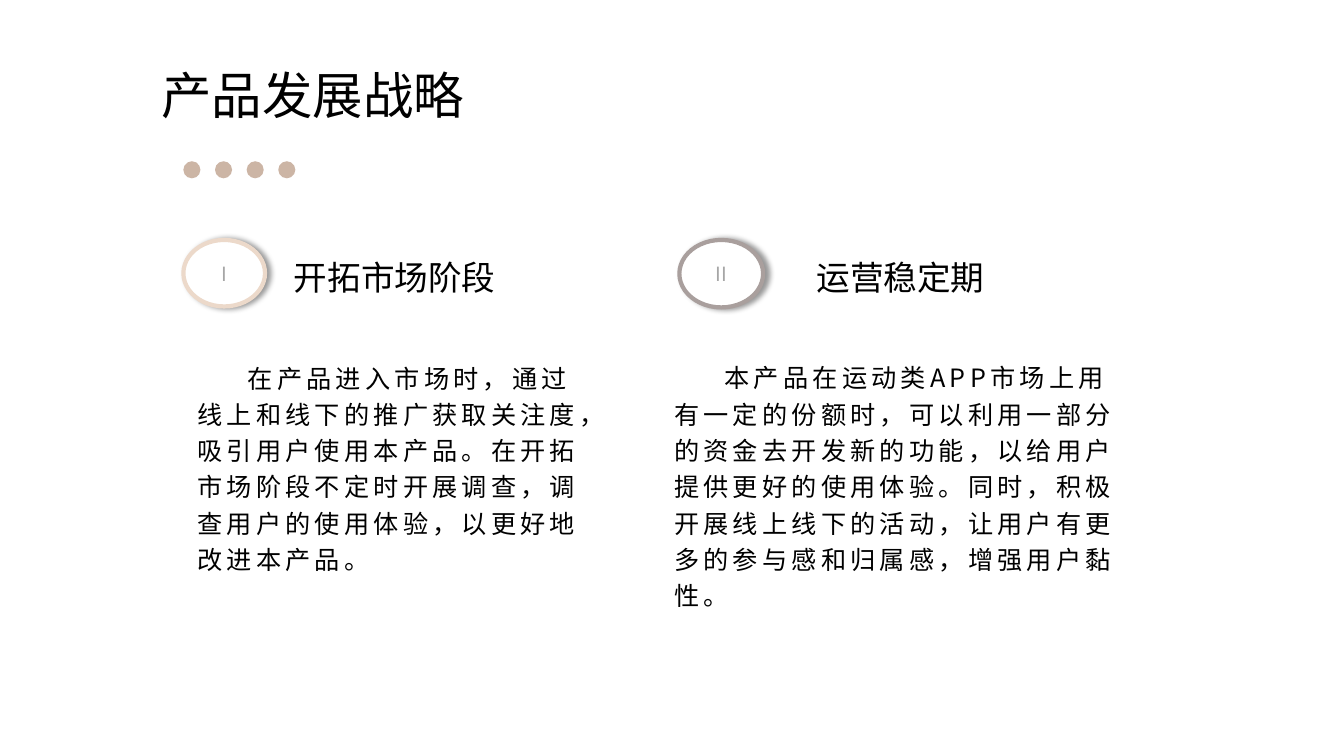
"""Build the product development strategy slide."""
from dataclasses import dataclass

from lxml import etree
from pptx import Presentation
from pptx.dml.color import RGBColor
from pptx.enum import shapes, text
from pptx.oxml.ns import qn
from pptx.util import Pt

FONT = "Noto Sans CJK SC"
COLORS = {
    "text": "000000",
    "numeral": "A6A6A6",
    "dot": "CCB5A5",
    "badge": "FFFFFF",
    "peach": "ECD9CA",
    "taupe": "A99F9D",
    "shadow": "000000",
}
LEFT, CENTER = text.PP_ALIGN.LEFT, text.PP_ALIGN.CENTER
FRAME = {
    "word_wrap": True,
    "margin_left": Pt(7.2),
    "margin_right": Pt(7.2),
    "margin_top": Pt(3.6),
    "margin_bottom": Pt(3.6),
}


@dataclass
class Box:
    x: float
    y: float
    w: float
    h: float

    def emu(self) -> list:
        return [Pt(v) for v in (self.x, self.y, self.w, self.h)]


@dataclass
class Stage:
    numeral: str
    heading: str
    body: str
    ring: str
    badge_box: Box
    heading_box: Box
    body_box: Box


STAGES = [
    Stage("I", "开拓市场阶段",
          "在产品进入市场时，通过线上和线下的推广获取关注度，吸引用户使用本产品。"
          "在开拓市场阶段不定时开展调查，调查用户的使用体验，以更好地改进本产品。",
          "peach", Box(131, 171.4, 58.3, 47.5),
          Box(198.7, 180, 166.3, 36), Box(133.9, 251.3, 297.4, 164.2)),
    Stage("II", "运营稳定期",
          "本产品在运动类APP市场上用有一定的份额时，可以利用一部分的资金去开发新的功能，"
          "以给用户提供更好的使用体验。同时，积极开展线上线下的活动，"
          "让用户有更多的参与感和归属感，增强用户黏性。",
          "taupe", Box(485.3, 171.4, 59.8, 48.2),
          Box(573.8, 180, 139, 36), Box(474.5, 251.3, 337, 190.1)),
]


def rgb(name: str) -> RGBColor:
    return RGBColor.from_string(COLORS[name])


def apply(target, values: dict) -> None:
    for key, value in values.items():
        setattr(target, key, value)


def write(sp, words: str, size: float, color: str = "text", align=LEFT,
          anchor=text.MSO_ANCHOR.MIDDLE):
    tf = sp.text_frame
    apply(tf, {**FRAME, "vertical_anchor": anchor})
    p = tf.paragraphs[0]
    p.alignment = align
    r = p.add_run()
    r.text = words
    apply(r.font, {"size": Pt(size), "name": FONT})
    r.font.color.rgb = rgb(color)
    rpr = r._r.get_or_add_rPr()
    etree.SubElement(rpr, qn("a:ea")).set("typeface", FONT)
    return p


def add_text(s, box: Box, words: str, size: float, align=LEFT):
    sp = s.shapes.add_textbox(*box.emu())
    p = write(sp, words, size, align=align, anchor=text.MSO_ANCHOR.TOP)
    sp.text_frame.auto_size = text.MSO_AUTO_SIZE.SHAPE_TO_FIT_TEXT
    return p


def add_body(s, box: Box, words: str) -> None:
    p = add_text(s, box, words, 18)
    p.line_spacing = 1.2
    ppr = p._p.get_or_add_pPr()
    ppr.set("marL", "0")
    ppr.set("indent", str(Pt(36)))
    p.runs[0]._r.get_or_add_rPr().set("spc", "300")


def add_ellipse(s, box: Box, fill: str):
    sp = s.shapes.add_shape(shapes.MSO_SHAPE.OVAL, *box.emu())
    sp.shadow.inherit = False
    sp.fill.solid()
    sp.fill.fore_color.rgb = rgb(fill)
    sp.line.fill.background()
    return sp


def add_badge(s, stage: Stage) -> None:
    sp = add_ellipse(s, stage.badge_box, "badge")
    sp.line.color.rgb = rgb(stage.ring)
    sp.line.width = Pt(3)
    effects = sp._element.spPr.find(qn("a:effectLst"))
    shadow = etree.SubElement(effects, qn("a:outerShdw"), blurRad=str(Pt(4)),
                              dist=str(Pt(3)), dir="0", algn="l", rotWithShape="0")
    clr = etree.SubElement(shadow, qn("a:srgbClr"), val=COLORS["shadow"])
    etree.SubElement(clr, qn("a:alpha"), val="40000")
    write(sp, stage.numeral, 14, "numeral", CENTER)


def add_title(s, box: Box, words: str) -> None:
    sp = s.shapes.add_shape(shapes.MSO_SHAPE.ROUNDED_RECTANGLE, *box.emu())
    sp.adjustments[0] = 0.5
    sp.shadow.inherit = False
    sp.fill.background()
    sp.line.fill.background()
    write(sp, words, 36)


def main() -> None:
    prs = Presentation()
    apply(prs, {"slide_width": Pt(960), "slide_height": Pt(540)})
    s = prs.slides.add_slide(prs.slide_layouts[6])
    add_title(s, Box(99.4, 36.7, 249.8, 61.2), "产品发展战略")
    for i in range(4):
        add_ellipse(s, Box(131 + 22.6 * i, 115.2, 12.2, 12.2), "dot")
    for stage in STAGES:
        add_badge(s, stage)
        add_text(s, stage.heading_box, stage.heading, 24, CENTER)
        add_body(s, stage.body_box, stage.body)
    prs.save("out.pptx")


if __name__ == "__main__":
    main()
